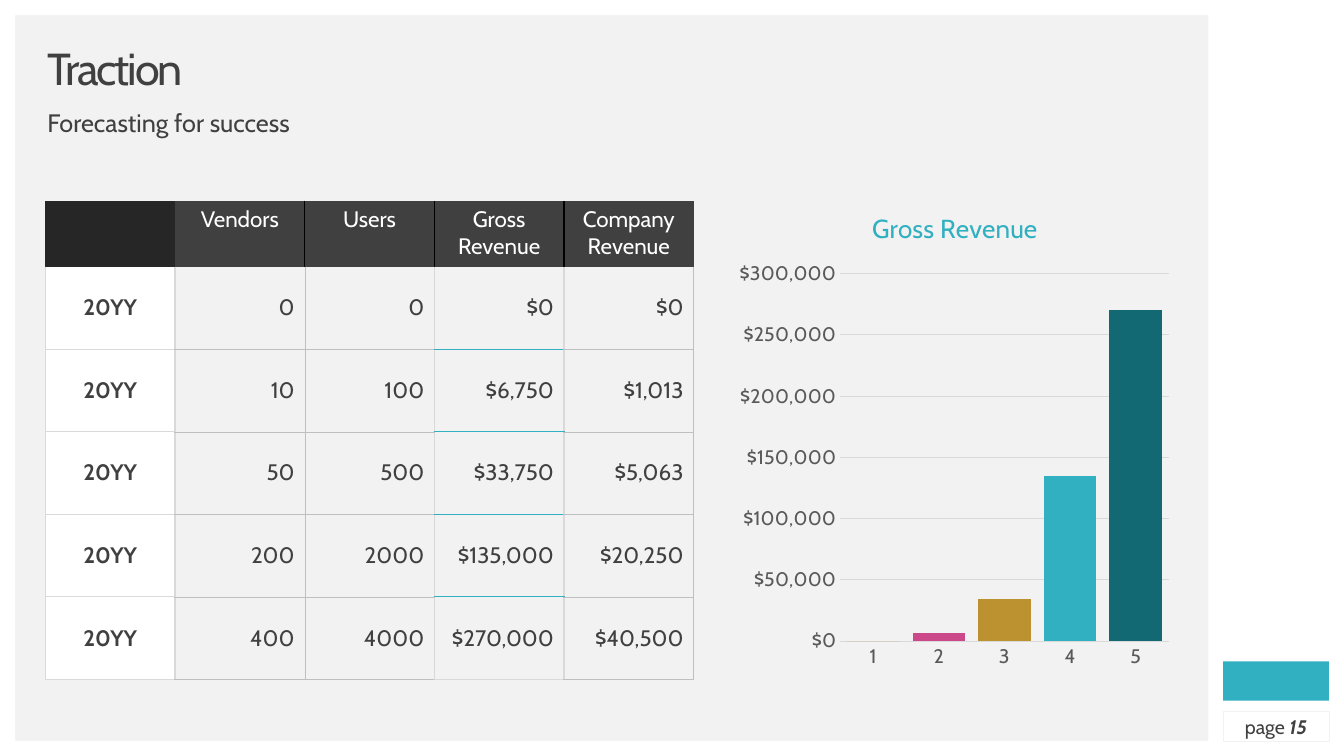
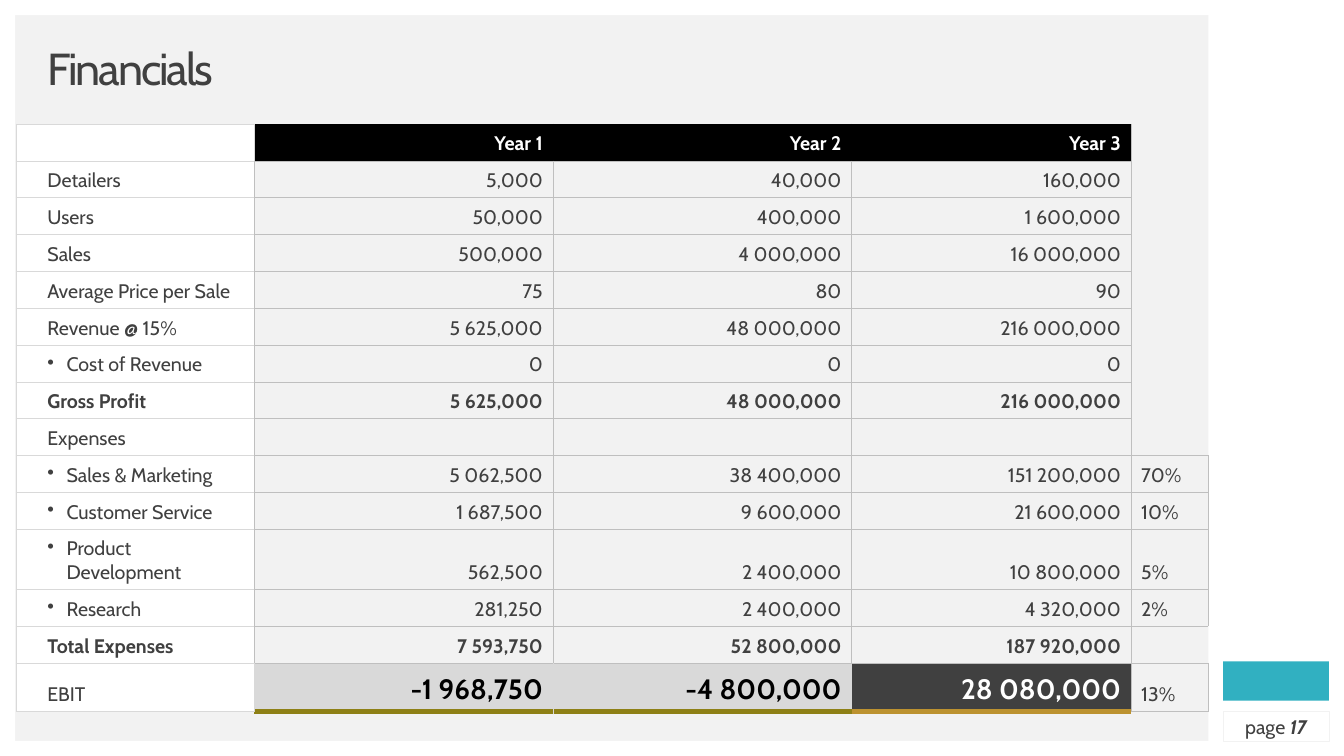
from dataclasses import dataclass, replace

from lxml import etree
from pptx import Presentation
from pptx.chart.data import CategoryChartData
from pptx.dml.color import RGBColor
from pptx.enum.chart import XL_CHART_TYPE, XL_TICK_MARK
from pptx.enum.shapes import MSO_SHAPE
from pptx.enum.text import MSO_ANCHOR, PP_ALIGN
from pptx.oxml.ns import qn
from pptx.util import Inches, Pt

LEFT, CENTER, RIGHT = PP_ALIGN.LEFT, PP_ALIGN.CENTER, PP_ALIGN.RIGHT
TOP, MIDDLE, BOTTOM = MSO_ANCHOR.TOP, MSO_ANCHOR.MIDDLE, MSO_ANCHOR.BOTTOM
RECTANGLE = MSO_SHAPE.RECTANGLE
COLUMNS = XL_CHART_TYPE.COLUMN_CLUSTERED
NO_TICK = XL_TICK_MARK.NONE
PLAIN_TABLE = "{2D5ABB26-0587-4C30-8999-92F81FD0307C}"
SLIDE_WIDTH, SLIDE_HEIGHT = Inches(13.33), Inches(7.5)


@dataclass(frozen=True)
class Style:
    """Look of a span of text."""
    size: float
    color: str
    bold: bool = False
    italic: bool = False
    spacing: float = 0


class Theme:
    """Colours, text styles and table edges of the deck."""
    font = "Cabin"
    white, black, paper = "FFFFFF", "000000", "F2F2F2"
    ink, dark, axis_text = "404040", "262626", "595959"
    light, rule = "D9D9D9", "BFBFBF"
    teal, deep_teal, gold, olive, pink = "31B0C1", "126974", "BC9230", "8E8016", "CB488B"
    title = Style(32, ink, spacing=-1.5)
    subtitle = Style(18, ink)
    body = Style(14, ink)
    table = Style(16, ink)
    result = Style(20, black, bold=True)
    light_edge, thin_edge, hair_edge = (light, 1), (rule, 0.25), (light, 0.25)
    black_edge, teal_edge = (black, 1), (teal, 1)


@dataclass(frozen=True)
class Box:
    """Region given in percent of the slide's width and height."""
    left: float
    top: float
    width: float
    height: float

    def lengths(self):
        """Return left, top, width and height as lengths."""
        return (int(SLIDE_WIDTH * self.left / 100), int(SLIDE_HEIGHT * self.top / 100),
                int(SLIDE_WIDTH * self.width / 100), int(SLIDE_HEIGHT * self.height / 100))


BANDS = [Box(0, 0, 100, 2), Box(0, 0, 1.13, 100), Box(89.91, 0, 10.09, 100), Box(0, 98, 100, 2)]
TITLE = Box(3.53, 6.27, 83.2, 6.27)
SUBTITLE = Box(3.53, 14.67, 83.2, 3.73)
BADGE = Box(91, 87.47, 7.88, 5.2)
PAGE_NUMBER = Box(91, 94.13, 7.88, 3.87)
TRACTION_TABLE = Box(3.38, 26.53, 48.24, 63.33)
REVENUE_CHART = Box(54.16, 25.2, 33.46, 64.8)
FINANCIALS_TABLE = Box(1.2, 16.4, 88.67, 77.73)

TRACTION = [
    ["", "Vendors", "Users", "Gross Revenue", "Company Revenue"],
    ["20YY", "0", "0", "$0", "$0"],
    ["20YY", "10", "100", "$6,750", "$1,013"],
    ["20YY", "50", "500", "$33,750", "$5,063"],
    ["20YY", "200", "2000", "$135,000", "$20,250"],
    ["20YY", "400", "4000", "$270,000", "$40,500"],
]
REVENUE = [0, 7000, 34000, 135000, 270000]
FINANCIALS = [
    ["", "Year 1", "Year 2", "Year 3", ""],
    ["Detailers", "5,000", "40,000", "160,000", ""],
    ["Users", "50,000", "400,000", "1 600,000", ""],
    ["Sales", "500,000", "4 000,000", "16 000,000", ""],
    ["Average Price per Sale", "75", "80", "90", ""],
    ["Revenue @ 15%", "5 625,000", "48 000,000", "216 000,000", ""],
    ["Cost of Revenue", "0", "0", "0", ""],
    ["Gross Profit", "5 625,000", "48 000,000", "216 000,000", ""],
    ["Expenses", "", "", "", ""],
    ["Sales & Marketing", "5 062,500", "38 400,000", "151 200,000", "70%"],
    ["Customer Service", "1 687,500", "9 600,000", "21 600,000", "10%"],
    ["Product Development", "562,500", "2 400,000", "10 800,000", "5%"],
    ["Research", "281,250", "2 400,000", "4 320,000", "2%"],
    ["Total Expenses", "7 593,750", "52 800,000", "187 920,000", ""],
    ["EBIT", "-1 968,750", "-4 800,000", "28 080,000", "13%"],
]
BULLETED = {"Cost of Revenue", "Sales & Marketing", "Customer Service",
            "Product Development", "Research"}
TOTALS = {"Gross Profit", "Total Expenses"}


def rgb(color):
    """Turn a hex colour into a colour value."""
    return RGBColor.from_string(color)


def paint(fill, color):
    """Fill with a colour, or with nothing."""
    if color:
        fill.solid()
        fill.fore_color.rgb = rgb(color)
    else:
        fill.background()


def style_font(font, style):
    """Apply a text style to a font."""
    font.name, font.size = Theme.font, Pt(style.size)
    font.bold, font.italic = style.bold, style.italic
    font.color.rgb = rgb(style.color)


def write(frame, text, styles, align=LEFT, anchor=TOP, line_spacing=None):
    """Write one paragraph whose runs, split at bars, take the styles in turn."""
    frame.word_wrap, frame.vertical_anchor = True, anchor
    para = frame.paragraphs[0]
    para.alignment, para.line_spacing = align, line_spacing
    for part, style in zip(text.split("|"), styles):
        span = para.add_run()
        span.text = part
        style_font(span.font, style)
        if style.spacing:
            span.font._element.set("spc", str(int(style.spacing * 100)))


def add_text(page, box, text, styles, **layout):
    """Add a text box without insets."""
    frame = page.shapes.add_textbox(*box.lengths()).text_frame
    frame.margin_left = frame.margin_right = frame.margin_top = frame.margin_bottom = 0
    write(frame, text, styles, **layout)


def add_rectangle(page, box, fill=None, line=None):
    """Add a flat rectangle."""
    shape = page.shapes.add_shape(RECTANGLE, *box.lengths())
    shape.shadow.inherit = False
    paint(shape.fill, fill)
    paint(shape.line.fill, line)
    shape.line.width = Pt(0.25)


def add_page(deck, title, number):
    """Add a slide with white bands, title, plain badge and page number."""
    page = deck.slides.add_slide(deck.slide_layouts[6])
    for band in BANDS:
        add_rectangle(page, band, fill=Theme.white)
    add_rectangle(page, BADGE, fill=Theme.teal)
    add_text(page, TITLE, title, [Theme.title], anchor=MIDDLE, line_spacing=0.9)
    add_rectangle(page, PAGE_NUMBER, line=Theme.paper)
    add_text(page, PAGE_NUMBER, f"page |{number}",
             [Theme.body, replace(Theme.body, bold=True, italic=True)],
             align=CENTER, anchor=MIDDLE)
    return page


def draw_edges(cell, edges):
    """Draw the left, right, top and bottom edges of a cell."""
    properties = cell._tc.get_or_add_tcPr()
    drawn = [(side, edge) for side, edge in zip("LRTB", edges) if edge]
    for position, (side, (color, width)) in enumerate(drawn):
        line = etree.Element(qn(f"a:ln{side}"), w=str(Pt(width)))
        fill = etree.SubElement(line, qn("a:solidFill"))
        etree.SubElement(fill, qn("a:srgbClr"), val=color)
        properties.insert(position, line)


def add_grid(page, box, rows, widths, heights, dress):
    """Add a table with weighted columns and rows, and dress each cell."""
    left, top, width, height = box.lengths()
    frame = page.shapes.add_table(len(rows), len(widths), left, top, width, height)
    frame.element.xpath(".//a:tableStyleId")[0].text = PLAIN_TABLE
    table = frame.table
    table.first_row = table.horz_banding = False
    for column, weight in zip(table.columns, widths):
        column.width = int(width * weight / sum(widths))
    for line, weight in zip(table.rows, heights):
        line.height = int(height * weight / sum(heights))
    for row, texts in enumerate(rows):
        for column, text in enumerate(texts):
            dress(table.cell(row, column), row, column, text)


def write_cell(cell, text, style, align, anchor):
    """Write a cell, keeping an empty one at the size of its style."""
    if text:
        write(cell.text_frame, text, [style], align=align)
    else:
        etree.SubElement(cell.text_frame.paragraphs[0]._p, qn("a:endParaRPr"),
                         sz=str(style.size * 100))
    cell.vertical_anchor = anchor


def dress_traction(cell, row, column, text):
    """Style one cell of the traction table."""
    light, thin, black = Theme.light_edge, Theme.thin_edge, Theme.black_edge
    header, label, gross = row == 0, column == 0, column == 3
    if header:
        sides = [None, None, black, black, black, None]
        above = below = None
        paint(cell.fill, Theme.dark if label else Theme.ink)
    else:
        sides = [light, light, thin, light, light, thin]
        inner = light if label else Theme.teal_edge if gross else thin
        above = inner if row > 1 else None
        below = light if gross and row == len(TRACTION) - 1 else inner
        paint(cell.fill, Theme.white if label else Theme.paper if gross else None)
    style = replace(Theme.table, bold=label, color=Theme.white if header else Theme.ink)
    write_cell(cell, text, style, CENTER if header or label else RIGHT,
               TOP if header else MIDDLE)
    draw_edges(cell, [sides[column], sides[column + 1], above, below])


def financial_edges(row, column, text):
    """Return the four edges of a cell in the financials table."""
    thin, hair = Theme.thin_edge, Theme.hair_edge
    if column == 0:
        return [hair, thin, hair, hair]
    if column == 4:
        ruled = row > 8
        return [thin, thin if text else None, thin if ruled else None, thin if ruled else None]
    if row == 0:
        edge = (Theme.black, 0.25)
        return [hair if column == 1 else edge, edge, edge, thin]
    if row == len(FINANCIALS) - 1:
        accent = Theme.gold if column == 3 else Theme.olive
        return [hair if column == 1 else None, thin if column == 3 else None, thin, (accent, 4.5)]
    return [thin] * 4


def dress_financials(cell, row, column, text):
    """Style one cell of the financials table."""
    label, percent = column == 0, column == 4
    value = not label and not percent
    style, fill = Theme.body, Theme.white if label else None if percent else Theme.paper
    if row == 0 and value:
        style, fill = replace(style, color=Theme.white, bold=True), Theme.black
    elif row == len(FINANCIALS) - 1 and value:
        style, fill = Theme.result, Theme.light
        if column == 3:
            style, fill = replace(style, color=Theme.white), Theme.ink
    elif FINANCIALS[row][0] in TOTALS:
        style = replace(style, bold=True)
    if label:
        cell.margin_left = Inches(0.31)
    if text in BULLETED:
        properties = cell.text_frame.paragraphs[0]._p.get_or_add_pPr()
        properties.set("marL", str(Inches(0.19)))
        properties.set("indent", str(-Inches(0.19)))
        etree.SubElement(properties, qn("a:buChar"), char="•")
    paint(cell.fill, fill)
    write_cell(cell, text, style, RIGHT if value else LEFT, BOTTOM)
    draw_edges(cell, financial_edges(row, column, text))


def set_layout(parent, position, **shares):
    """Place a chart part by shares of the chart's size."""
    for layout in parent.findall(qn("c:layout")):
        parent.remove(layout)
    layout = etree.Element(qn("c:layout"))
    manual = etree.SubElement(layout, qn("c:manualLayout"))
    if "w" in shares:
        etree.SubElement(manual, qn("c:layoutTarget"), val="inner")
    for side in "xy":
        etree.SubElement(manual, qn(f"c:{side}Mode"), val="edge")
    for name, share in shares.items():
        etree.SubElement(manual, qn(f"c:{name}"), val=str(share))
    parent.insert(position, layout)


def add_revenue_chart(page, box):
    """Add the gross revenue column chart."""
    data = CategoryChartData()
    data.categories = [str(year) for year in range(1, len(REVENUE) + 1)]
    data.add_series("Series 1", REVENUE)
    chart = page.shapes.add_chart(COLUMNS, *box.lengths(), data).chart
    chart.has_legend = False
    style_font(chart.font, Style(10, Theme.black))
    chart.has_title = True
    write(chart.chart_title.text_frame, "Gross Revenue", [Style(18.6, Theme.teal)], align=CENTER)
    set_layout(chart.chart_title.element, 1, x=0.31, y=0.03)
    set_layout(chart.element.xpath(".//c:plotArea")[0], 0, x=0.25, y=0.17, w=0.73, h=0.75)
    for axis in (chart.category_axis, chart.value_axis):
        axis.major_tick_mark = axis.minor_tick_mark = NO_TICK
        style_font(axis.tick_labels.font, Style(14, Theme.axis_text))
    values = chart.value_axis
    values.minimum_scale, values.maximum_scale, values.major_unit = 0, 300000, 50000
    values.tick_labels.number_format = "[$$-409]#,##0"
    values.tick_labels.number_format_is_linked = False
    values.format.line.fill.background()
    for line in (values.major_gridlines.format.line, chart.category_axis.format.line):
        paint(line.fill, Theme.light)
        line.width = Pt(0.75)
    plot = chart.plots[0]
    plot.gap_width, plot.vary_by_categories = 25, False
    series = plot.series[0]
    paint(series.format.fill, Theme.gold)
    for index, color in {1: Theme.pink, 3: Theme.teal, 4: Theme.deep_teal}.items():
        paint(series.points[index].format.fill, color)


def main():
    """Build and save the deck."""
    deck = Presentation()
    deck.slide_width, deck.slide_height = SLIDE_WIDTH, SLIDE_HEIGHT
    paint(deck.slide_master.background.fill, Theme.paper)
    traction = add_page(deck, "Traction", 15)
    add_text(traction, SUBTITLE, "Forecasting for success", [Theme.subtitle], line_spacing=0.9)
    add_grid(traction, TRACTION_TABLE, TRACTION, [1] * 5, [0.8] + [1] * 5, dress_traction)
    add_revenue_chart(traction, REVENUE_CHART)
    financials = add_page(deck, "Financials", 17)
    add_grid(financials, FINANCIALS_TABLE, FINANCIALS, [2.36, 2.96, 2.96, 2.77, 0.76],
             [1] * 11 + [1.64, 1, 1, 1.31], dress_financials)
    deck.save("out.pptx")


if __name__ == "__main__":
    main()
